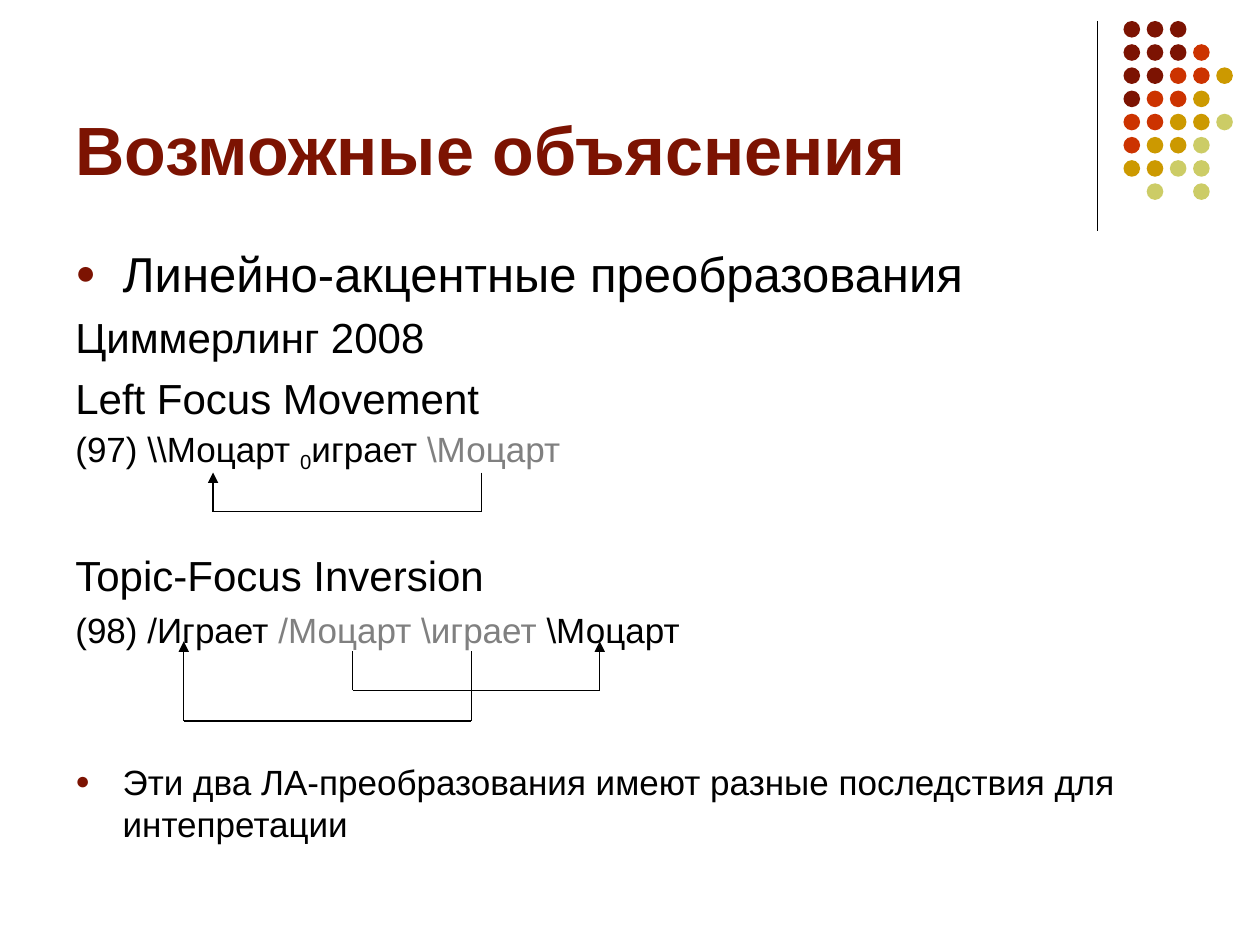
import pptx
import pptx.util
import pptx.dml.color
import pptx.enum.shapes
import pptx.enum.text
import pptx.oxml
import pptx.oxml.ns
from dataclasses import dataclass

Pt = pptx.util.Pt
qn = pptx.oxml.ns.qn


@dataclass(frozen=True)
class Theme:
    font: str = "Arial"
    dark: str = "7C1302"
    red: str = "CC3300"
    gold: str = "CC9900"
    lime: str = "CCCC66"
    ink: str = "000000"
    gray: str = "808080"
    title: int = 39
    head: int = 28
    text: int = 24
    small: int = 20
    line: float = 0.75


theme = Theme()


def style(run, size, color, bold=False):
    run.font.name = theme.font
    run.font.size = Pt(size)
    run.font.bold = bold
    run.font.color.rgb = pptx.dml.color.RGBColor.from_string(color)


def draw_line(start, end, arrow=False):
    line = slide.shapes.add_connector(
        pptx.enum.shapes.MSO_CONNECTOR.STRAIGHT,
        *[Pt(v) for v in (*start, *end)])
    line.line.width = Pt(theme.line)
    line.line.color.rgb = pptx.dml.color.RGBColor.from_string(theme.ink)
    props = line._element.spPr
    if arrow:
        tail = pptx.oxml.parse_xml(
            '<a:tailEnd xmlns:a="http://schemas.openxmlformats.org/drawingml/2006/main" type="triangle"/>')
        props.find(qn("a:ln")).append(tail)
    props.append(props.makeelement(qn("a:effectLst"), {}))


deck = pptx.Presentation()
deck.slide_width = Pt(720)
deck.slide_height = Pt(540)
slide = deck.slides.add_slide(deck.slide_layouts[5])

draw_line((627, 12), (627, 132))

tints = {"d": theme.dark, "r": theme.red, "g": theme.gold, "l": theme.lime}
dots = ["ddd", "dddr", "ddrrg", "drrg", "rrggl", "rggl", "ggll", " l l"]
for row, marks in enumerate(dots):
    for col, mark in enumerate(marks):
        if mark in tints:
            dot = slide.shapes.add_shape(
                pptx.enum.shapes.MSO_SHAPE.OVAL,
                Pt(642 + 13.25 * col), Pt(12 + 13.25 * row), Pt(9.5), Pt(9.5))
            dot.shadow.inherit = False
            dot.fill.solid()
            dot.fill.fore_color.rgb = pptx.dml.color.RGBColor.from_string(tints[mark])
            dot.line.fill.background()

title = slide.shapes.title
title.left, title.top, title.width, title.height = Pt(36), Pt(9.5), Pt(594), Pt(102)
title.text_frame.text = "Возможные объяснения"
title.text_frame.word_wrap = True
title.text_frame.vertical_anchor = pptx.enum.text.MSO_ANCHOR.BOTTOM
title.text_frame.paragraphs[0].alignment = pptx.enum.text.PP_ALIGN.LEFT
style(title.text_frame.paragraphs[0].runs[0], theme.title, theme.dark, True)

body = slide.shapes.add_textbox(Pt(36), Pt(135.5), Pt(648), Pt(347))
frame = body.text_frame
frame.word_wrap = True

ink, gray = theme.ink, theme.gray
items = [
    (theme.head, 33.5, 2, True, [("Линейно-акцентные преобразования", ink)]),
    (theme.text, 29, 5, False, [("Циммерлинг 2008", ink)]),
    (theme.text, 29, 6, False, [("Left Focus Movement", ink)]),
    (theme.small, 24, 5, False, [("(97) \\\\Моцарт ", ink), ("0", ink),
                                 ("играет ", ink), ("\\Моцарт", gray)]),
    (theme.text, 29, 43, False, [("Topic-Focus Inversion", ink)]),
    (theme.small, 24, 5, False, [("(98) /Играет ", ink), ("/Моцарт \\играет", gray),
                                 (" \\Моцарт", ink)]),
    (theme.small, 24, 63, True,
     [("Эти два ЛА-преобразования имеют разные последствия для интепретации", ink)]),
]
for spot, (size, pitch, gap, mark, parts) in enumerate(items):
    para = frame.add_paragraph() if spot else frame.paragraphs[0]
    para.line_spacing = Pt(pitch)
    para.space_before = Pt(gap)
    for words, color in parts:
        run = para.add_run()
        run.text = words
        style(run, size, color)
        if words == "0":
            run.font._element.set("baseline", "-20000")
    if mark:
        props = para._p.get_or_add_pPr()
        props.set("marL", str(Pt(27)))
        props.set("indent", str(-Pt(27)))
        tint = props.makeelement(qn("a:buClr"), {})
        tint.append(tint.makeelement(qn("a:srgbClr"), {"val": theme.dark}))
        props.append(tint)
        props.append(props.makeelement(qn("a:buSzPct"), {"val": "70000"}))
        props.append(props.makeelement(qn("a:buFont"), {"typeface": theme.font}))
        props.append(props.makeelement(qn("a:buChar"), {"char": "●"}))

moves = [
    (201.5, 342.75, 372.25, 394.5, 366.5),
    (269.25, 105, 372.25, 412, 366.5),
    (275, 121.75, 270, 292.5, 270),
]
for source, goal, top, base, tip in moves:
    draw_line((source, top), (source, base))
    draw_line((source, base), (goal, base))
    draw_line((goal, base), (goal, tip), True)

deck.save("out.pptx")
